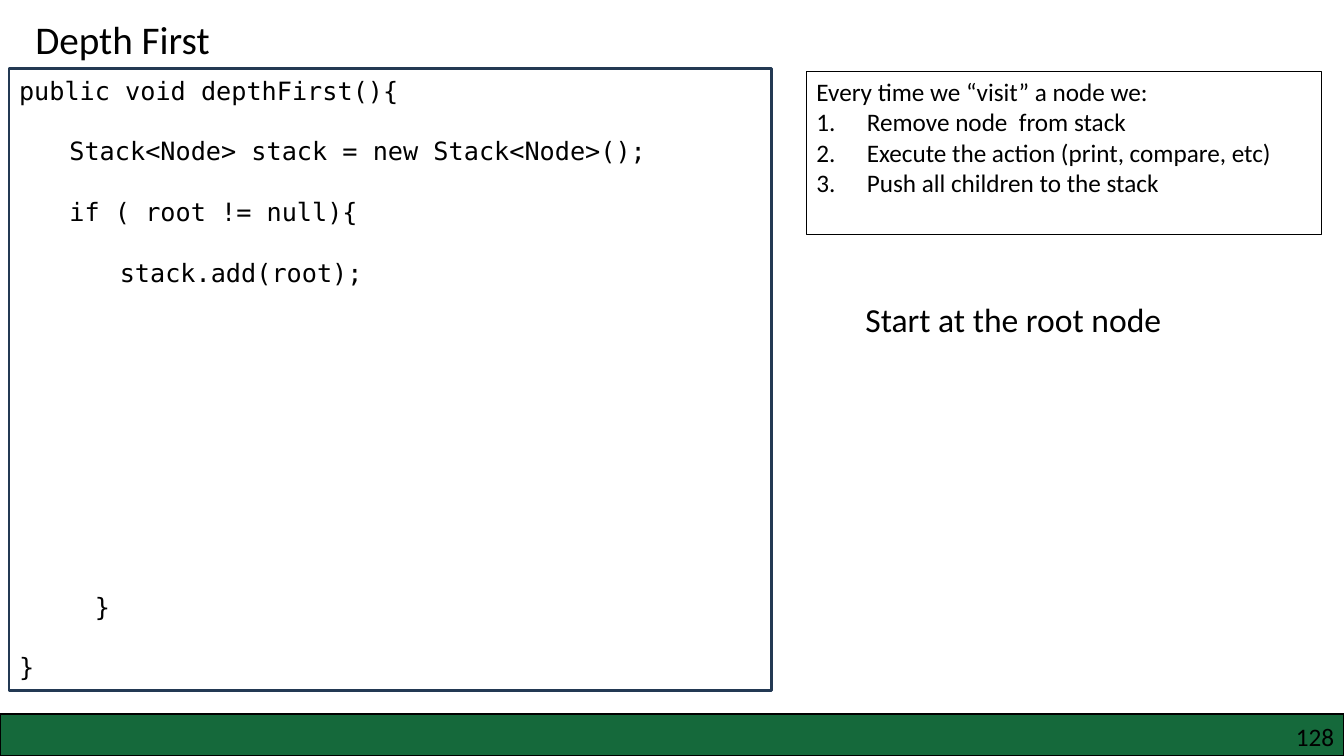
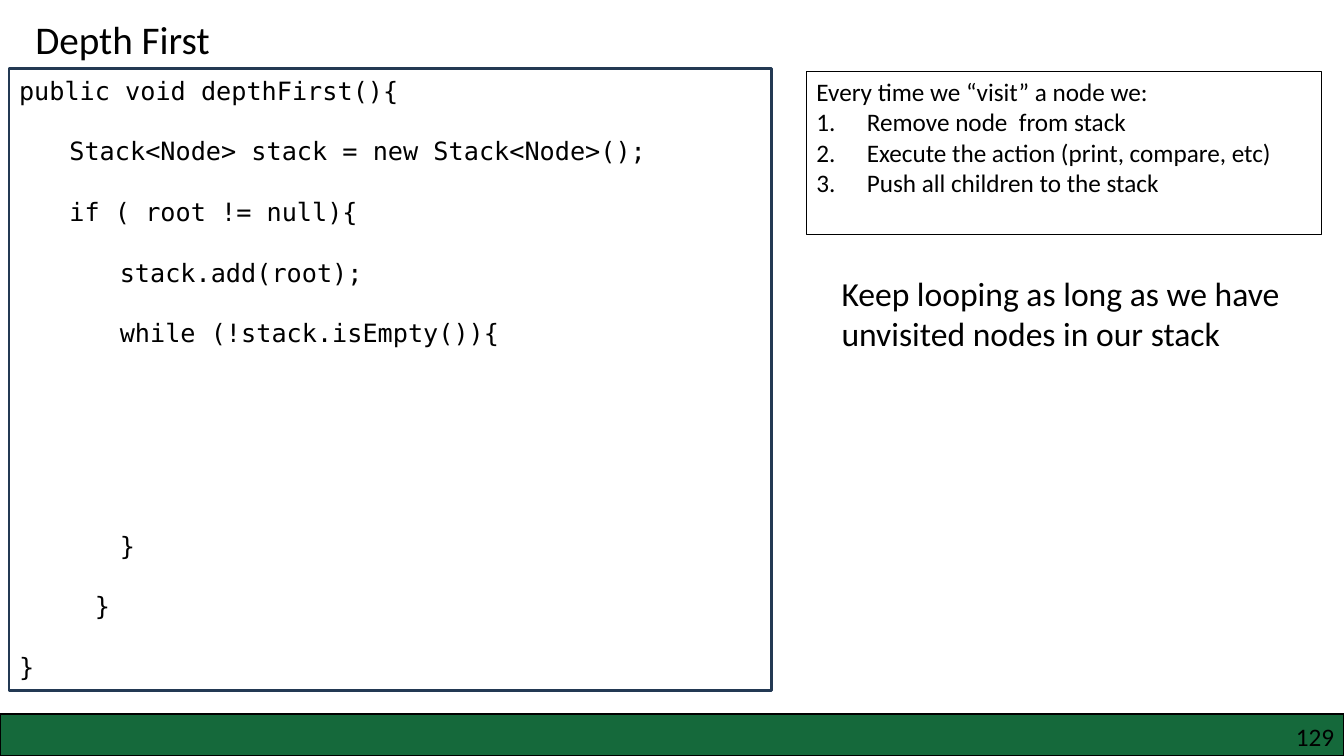
from typing import NamedTuple

from lxml.etree import SubElement
from pptx import Presentation
from pptx.dml.color import RGBColor
from pptx.enum.shapes import MSO_SHAPE
from pptx.enum.text import MSO_ANCHOR, MSO_AUTO_SIZE, PP_ALIGN
from pptx.oxml.ns import qn
from pptx.util import Pt

COLORS = {"text": "000000", "band": "15693B", "code border": "233953"}
BODY_FONT = "Calibri"
CODE_FONT = "DejaVu Sans Mono"
BLANK_LINE = 21.7
LIST_INDENT = 36


class Box(NamedTuple):
    left: float
    top: float
    width: float
    height: float

    def lengths(self) -> list:
        return [Pt(value) for value in self]


class CodeLine(NamedTuple):
    text: str
    blank_lines: int = 1


class Step(NamedTuple):
    number: int
    code: list[CodeLine]
    callout: str
    callout_box: Box


SLIDE_WIDTH, SLIDE_HEIGHT = 960, 540
BAND = Box(0, 510, SLIDE_WIDTH, 30)
PAGE_NUMBER = Box(732, 515, 221, 22)
TITLE = Box(18, 7.2, 154, 41)
CODE = Box(6.5, 49, 544.5, 444)
VISIT = Box(576, 51, 368, 116.5)

VISIT_INTRO = "Every time we “visit” a node we:"
VISIT_STEPS = [
    "Remove node  from stack",
    "Execute the action (print, compare, etc)",
    "Push all children to the stack",
]

OPENING = [
    CodeLine("public void depthFirst(){", 0),
    CodeLine("\tStack<Node> stack = new Stack<Node>();"),
    CodeLine("\tif ( root != null){"),
    CodeLine("\t\tstack.add(root);"),
]
LOOP = [CodeLine("\t\twhile (!stack.isEmpty()){"), CodeLine("\t\t}", 6)]

STEPS = [
    Step(128, [*OPENING, CodeLine("     }", 10), CodeLine("}")],
         "Start at the root node", Box(611, 210, 242, 36)),
    Step(129, [*OPENING, *LOOP, CodeLine("     }"), CodeLine("}")],
         "Keep looping as long as we have unvisited nodes in our stack",
         Box(594, 191.5, 333.5, 94)),
]


def color(name: str) -> RGBColor:
    return RGBColor.from_string(COLORS[name])


def write(paragraph, text: str, *, size: float = 18, font: str = BODY_FONT,
          align=PP_ALIGN.LEFT, space_before: float = 0) -> None:
    paragraph.alignment = align
    paragraph.space_before = Pt(space_before)
    run = paragraph.add_run()
    run.text = text
    run.font.size = Pt(size)
    run.font.name = font
    run.font.color.rgb = color("text")


def set_frame(shape, anchor=MSO_ANCHOR.TOP):
    frame = shape.text_frame
    frame.word_wrap = True
    frame.auto_size = MSO_AUTO_SIZE.NONE
    frame.vertical_anchor = anchor
    return frame


def next_paragraph(frame, index: int):
    return frame.paragraphs[0] if index == 0 else frame.add_paragraph()


def place(shape, box: Box) -> None:
    shape.left, shape.top, shape.width, shape.height = box.lengths()


def outline(shape, color_name: str, width: float) -> None:
    shape.line.color.rgb = color(color_name)
    shape.line.width = Pt(width)


def add_rectangle(slide, box: Box, border: str, width: float):
    shape = slide.shapes.add_shape(MSO_SHAPE.RECTANGLE, *box.lengths())
    shape.shadow.inherit = False
    shape.fill.background()
    outline(shape, border, width)
    return shape


def set_numbering(paragraph, numbered: bool) -> None:
    properties = paragraph._p.get_or_add_pPr()
    indent = Pt(LIST_INDENT) if numbered else 0
    properties.set("marL", str(indent))
    properties.set("indent", str(-indent))
    if numbered:
        SubElement(properties, qn("a:buFont"), typeface="+mj-lt")
        SubElement(properties, qn("a:buAutoNum"), type="arabicPeriod")
    else:
        SubElement(properties, qn("a:buNone"))


def add_frame(slide, number: int) -> None:
    # Footer band and page number
    band = add_rectangle(slide, BAND, "text", 1)
    band.fill.solid()
    band.fill.fore_color.rgb = color("band")
    frame = set_frame(slide.shapes.add_textbox(*PAGE_NUMBER.lengths()))
    frame.margin_left = frame.margin_right = 0
    frame.margin_top = frame.margin_bottom = 0
    write(frame.paragraphs[0], str(number), align=PP_ALIGN.RIGHT)

    # Title
    place(slide.shapes.title, TITLE)
    title = set_frame(slide.shapes.title)
    write(title.paragraphs[0], "Depth First", size=28)


def add_code(slide, lines: list[CodeLine]) -> None:
    frame = set_frame(add_rectangle(slide, CODE, "code border", 2))
    frame.margin_top = Pt(4.5)
    for index, line in enumerate(lines):
        write(next_paragraph(frame, index), line.text, font=CODE_FONT,
              space_before=line.blank_lines * BLANK_LINE)


def add_visit_list(slide) -> None:
    body = slide.placeholders[1]
    place(body, VISIT)
    outline(body, "text", 0.75)
    frame = set_frame(body)
    for index, text in enumerate([VISIT_INTRO, *VISIT_STEPS]):
        paragraph = next_paragraph(frame, index)
        set_numbering(paragraph, numbered=index > 0)
        write(paragraph, text)


def add_callout(slide, text: str, box: Box) -> None:
    frame = set_frame(slide.shapes.add_textbox(*box.lengths()))
    write(frame.paragraphs[0], text, size=24)


def main() -> None:
    presentation = Presentation()
    presentation.slide_width = Pt(SLIDE_WIDTH)
    presentation.slide_height = Pt(SLIDE_HEIGHT)
    for step in STEPS:
        slide = presentation.slides.add_slide(presentation.slide_layouts[1])
        add_frame(slide, step.number)
        add_code(slide, step.code)
        add_visit_list(slide)
        add_callout(slide, step.callout, step.callout_box)
    presentation.save("out.pptx")


if __name__ == "__main__":
    main()
